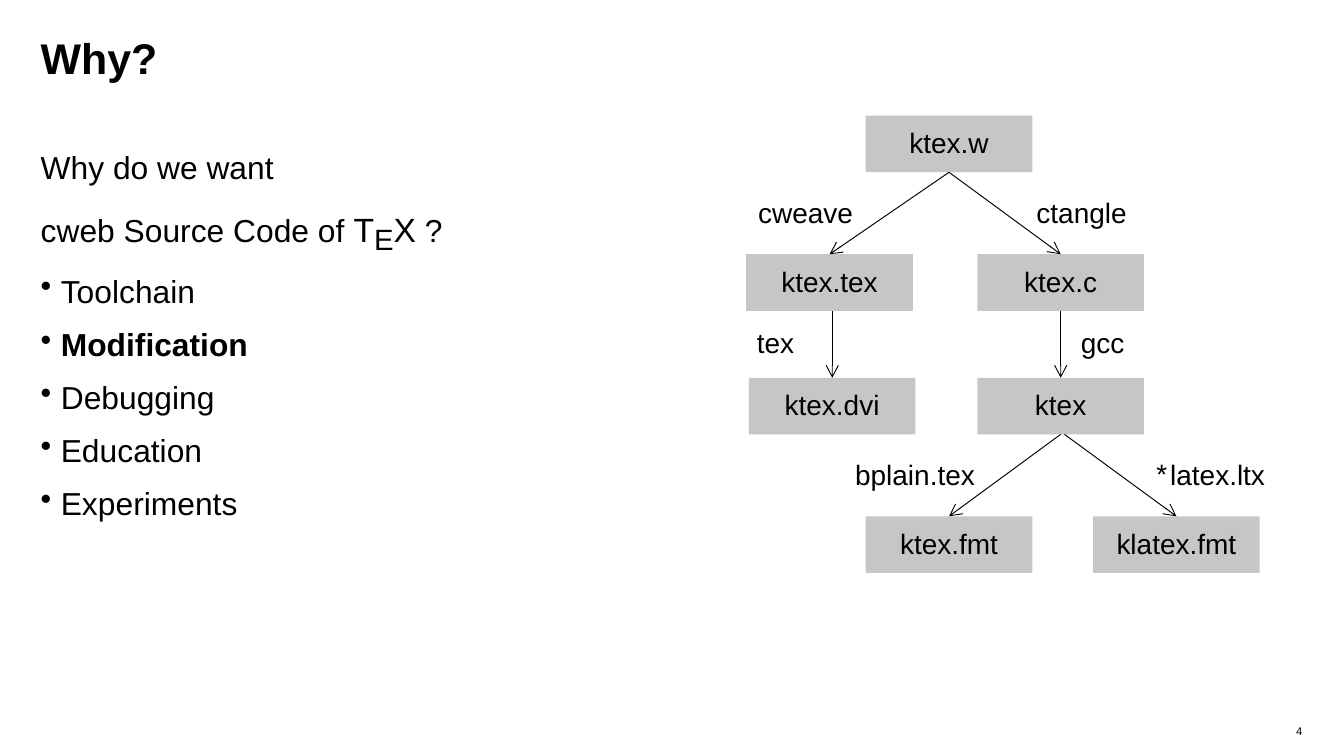
from pptx import Presentation
from pptx.dml.color import RGBColor
from pptx.enum.shapes import MSO_CONNECTOR, MSO_SHAPE
from pptx.enum.text import MSO_ANCHOR, MSO_AUTO_SIZE, PP_ALIGN
from pptx.oxml.ns import qn
from pptx.util import Pt
from lxml import etree

COLORS = {"text": "000000", "node": "C6C6C6", "arrow": "000000"}
NODE_W, NODE_H = 89.3, 30.3

# name: left, top inside the diagram
NODES = {
    "ktex.w": (64, 0),
    "ktex.tex": (0, 74.2),
    "ktex.c": (123.8, 74.2),
    "ktex.dvi": (1.4, 140.4),
    "ktex": (123.8, 140.4),
    "ktex.fmt": (64, 214.6),
    "klatex.fmt": (185.8, 214.6),
}
# from, to, sideways shift of the start
ARROWS = [
    ("ktex.w", "ktex.c", 0),
    ("ktex.w", "ktex.tex", 0),
    ("ktex", "klatex.fmt", 2),
    ("ktex", "ktex.fmt", 0),
    ("ktex.c", "ktex", 0),
    ("ktex.tex", "ktex.dvi", 1.4),
]
# runs of (text, font), left, top, width inside the diagram
LABELS = [
    ([("cweave", "Arial")], 1.4, 41.1, 62.6),
    ([("ctangle", "Arial")], 150.5, 41.1, 59.8),
    ([("gcc", "Arial")], 174.2, 110.9, 34.6),
    ([("tex", "Arial")], 0.7, 110.9, 31),
    ([("*", "Courier New"), ("latex.ltx", "Arial")], 213.1, 181.4, 71.3),
    ([("bplain.tex", "Arial")], 53.3, 181.4, 75.6),
]


def rgb(name):
    """Return the named colour."""
    return RGBColor.from_string(COLORS[name])


def add_run(paragraph, text, size, font="Arial", bold=False):
    """Append a styled run and return it."""
    run = paragraph.add_run()
    run.text = text
    run.font.size, run.font.name, run.font.bold = Pt(size), font, bold
    run.font.color.rgb = rgb("text")
    return run


def set_frame(frame, inset_x=0, inset_y=0, wrap=True):
    """Set margins and wrapping; return the first paragraph."""
    frame.margin_left = frame.margin_right = Pt(inset_x)
    frame.margin_top = frame.margin_bottom = Pt(inset_y)
    frame.word_wrap = wrap
    return frame.paragraphs[0]


def add_text_box(slide, left, top, width, height):
    """Add an empty text box."""
    return slide.shapes.add_textbox(Pt(left), Pt(top), Pt(width), Pt(height))


def add_title(slide, left, top, width, height):
    """Place the slide title."""
    paragraph = set_frame(add_text_box(slide, left, top, width, height).text_frame)
    paragraph.line_spacing = 0.9
    add_run(paragraph, "Why?", 23, bold=True)


def add_question(paragraph):
    """Write the two-line question with the lowered E."""
    add_run(paragraph, "Why do we want", 17)
    paragraph.add_line_break()
    add_run(paragraph, "cweb Source Code of ", 17)
    for text, size, baseline in (("T", 18, 0), ("E", 27, -16000), ("X", 18, 0), (" ", 17, 0)):
        properties = add_run(paragraph, text, size).font._element
        properties.set("spc", "-220")
        properties.set("baseline", str(baseline))
    add_run(paragraph, "?", 17)


def add_body(slide, left, top, width, height):
    """Place the question and its bulleted answers."""
    frame = add_text_box(slide, left, top, width, height).text_frame
    add_question(set_frame(frame))
    for item in ("Toolchain", "Modification", "Debugging", "Education", "Experiments"):
        paragraph = frame.add_paragraph()
        add_run(paragraph, item, 17, bold=item == "Modification")
        properties = paragraph._p.get_or_add_pPr()
        properties.set("marL", str(Pt(10.8)))
        properties.set("indent", str(-Pt(10.8)))
        etree.SubElement(properties, qn("a:buChar")).set("char", "•")
    for paragraph in frame.paragraphs:
        paragraph.line_spacing, paragraph.space_after = 1.1, Pt(6)


def add_page_number(slide, left, top, width, height):
    """Place the page number."""
    paragraph = set_frame(add_text_box(slide, left, top, width, height).text_frame)
    paragraph.alignment = PP_ALIGN.RIGHT
    add_run(paragraph, "4", 6)


def add_node(slide, name, left, top):
    """Draw one grey file box."""
    node = slide.shapes.add_shape(MSO_SHAPE.RECTANGLE, Pt(left), Pt(top), Pt(NODE_W), Pt(NODE_H))
    node.shadow.inherit = False
    node.fill.solid()
    node.fill.fore_color.rgb = rgb("node")
    node.line.fill.background()
    paragraph = set_frame(node.text_frame, 5, 2.6)
    node.text_frame.vertical_anchor = MSO_ANCHOR.MIDDLE
    paragraph.alignment, paragraph.line_spacing = PP_ALIGN.CENTER, 0.97
    add_run(paragraph, name, 15)


def add_arrow(slide, x1, y1, x2, y2):
    """Draw a thin line with an open arrowhead at its end."""
    arrow = slide.shapes.add_connector(MSO_CONNECTOR.STRAIGHT, Pt(x1), Pt(y1), Pt(x2), Pt(y2))
    arrow.line.color.rgb = rgb("arrow")
    arrow.line.width = Pt(0.5)
    etree.SubElement(arrow.line._get_or_add_ln(), qn("a:tailEnd")).set("type", "arrow")
    etree.SubElement(arrow._element.spPr, qn("a:effectLst"))


def add_label(slide, runs, left, top, width):
    """Write the tool name beside an arrow."""
    frame = add_text_box(slide, left, top, width, 23).text_frame
    paragraph = set_frame(frame, 5, 2.6, wrap=False)
    frame.auto_size = MSO_AUTO_SIZE.SHAPE_TO_FIT_TEXT
    paragraph.line_spacing = 0.97
    for text, font in runs:
        add_run(paragraph, text, 15, font)


def add_toolchain(slide, left, top):
    """Draw the diagram of files and the tools between them."""
    for name, (x, y) in NODES.items():
        add_node(slide, name, left + x, top + y)
    for source, target, shift in ARROWS:
        (x1, y1), (x2, y2) = NODES[source], NODES[target]
        middle = left + NODE_W / 2
        add_arrow(slide, middle + x1 + shift, top + y1 + NODE_H, middle + x2, top + y2)
    for runs, x, y, width in LABELS:
        add_label(slide, runs, left + x, top + y, width)


def main():
    """Build and save the slide."""
    deck = Presentation()
    deck.slide_width, deck.slide_height = Pt(720), Pt(405)
    slide = deck.slides.add_slide(deck.slide_layouts[6])
    add_title(slide, 21.8, 20.2, 676, 52.6)
    add_body(slide, 21.8, 77, 273, 275.8)
    add_page_number(slide, 622, 388, 75.6, 13)
    add_toolchain(slide, 399.8, 62)
    deck.save("out.pptx")


main()
